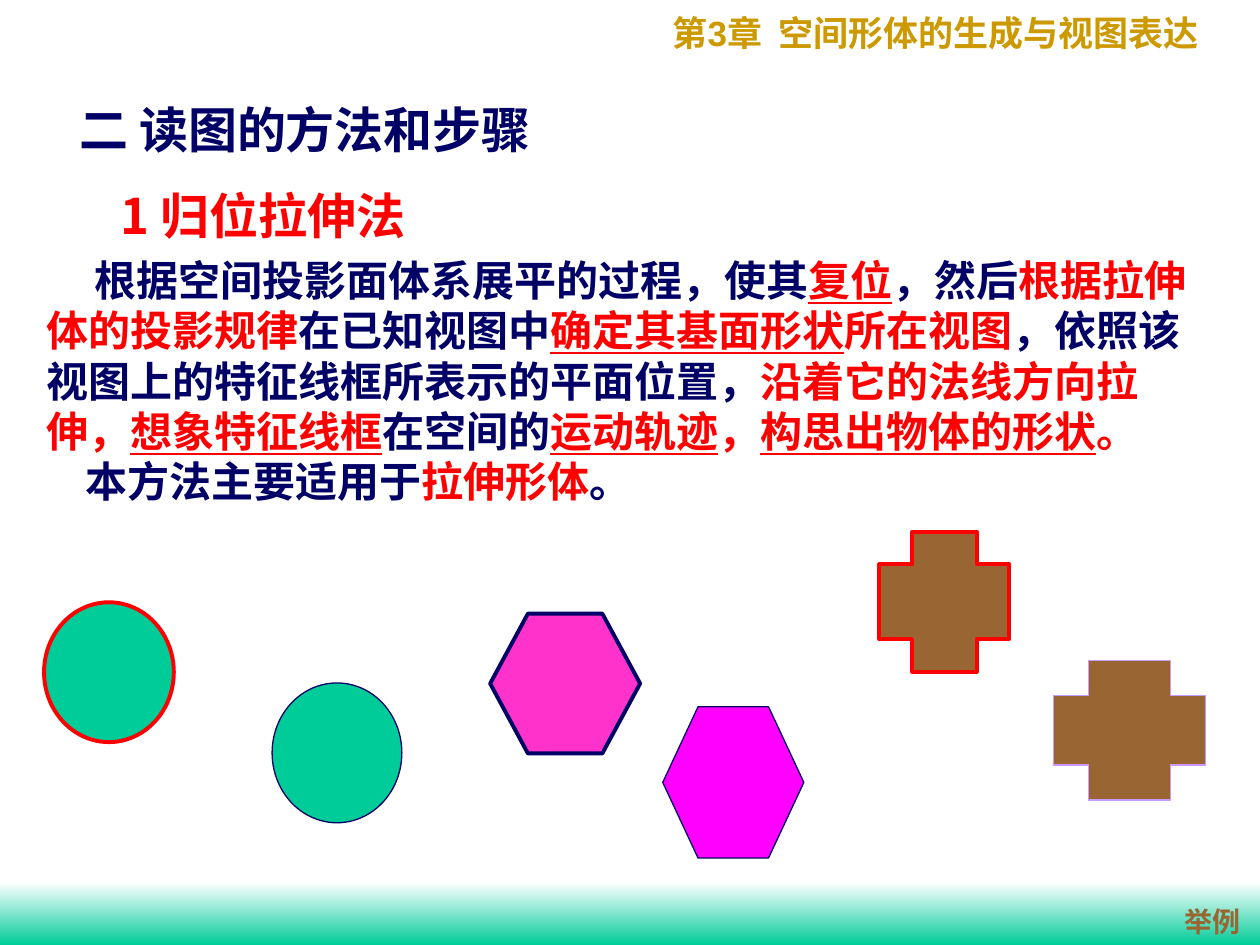
from pptx import Presentation
from pptx.dml.color import RGBColor
from pptx.enum.shapes import MSO_SHAPE
from pptx.enum.text import MSO_ANCHOR, MSO_AUTO_SIZE, PP_ALIGN
from pptx.oxml.ns import qn
from pptx.util import Inches, Pt
from lxml.etree import SubElement

NAVY, RED, GREEN, BROWN, GOLD = "000066", "FF0000", "00CC99", "996633", "CC9900"
SANS, SERIF = "Noto Sans CJK SC", "Times New Roman"

HEADER = [("第", {}), ("3", {"font": "Arial"}), ("章  空间形体的生成与视图表达", {})]

KEY = {"color": RED}
KEY_LINE = {"color": RED, "underline": True}
METHOD = [
    ("根据空间投影面体系展平的过程，使其", {}),
    ("复位", KEY_LINE),
    ("，然后", {}),
    ("根据拉伸体的投影规律", KEY),
    ("在已知视图中", {}),
    ("确定其基面形状", KEY_LINE),
    ("所在视图", KEY),
    ("，依照该视图上的特征线框所表示的平面位置，", {}),
    ("沿着它的法线方向拉伸，", KEY),
    ("想象特征线框", KEY_LINE),
    ("在空间的", {}),
    ("运动轨迹", KEY_LINE),
    ("，", KEY),
    ("构思出物体的形状", KEY_LINE),
    ("。", KEY),
]
SCOPE = [("本方法主要适用于", {}), ("拉伸形体", KEY), ("。", {})]

# preset, box, adjustment, fill, line colour, line width
FIGURES = [
    (MSO_SHAPE.HEXAGON, (5.26, 5.61, 1.12, 1.2), 0.25, "FF00FF", NAVY, 0.75),
    (MSO_SHAPE.HEXAGON, (3.89, 4.87, 1.19, 1.11), 0.27, "FF33CC", NAVY, 2.25),
    (MSO_SHAPE.CROSS, (6.98, 4.22, 1.03, 1.11), 0.25, BROWN, RED, 2.25),
    (MSO_SHAPE.CROSS, (8.36, 5.24, 1.21, 1.11), 0.25, BROWN, "CC99FF", 0.75),
    (MSO_SHAPE.OVAL, (0.35, 4.78, 1.03, 1.11), None, GREEN, RED, 2.25),
    (MSO_SHAPE.OVAL, (2.16, 5.42, 1.03, 1.11), None, GREEN, NAVY, 0.75),
]


def rgb(value):
    return RGBColor.from_string(value)


def add_run(p, text, size, color, font, underline=False):
    r = p.add_run()
    r.text = text
    r.font.size = Pt(size)
    r.font.bold = True
    r.font.underline = underline
    r.font.name = font
    r.font.color.rgb = rgb(color)
    SubElement(r.font._element, qn("a:ea")).set("typeface", SANS)


def add_text(slide, box, paragraphs, size, color, font=SANS, align=PP_ALIGN.LEFT,
             anchor=MSO_ANCHOR.TOP, wrap=True):
    """Each paragraph is (runs, first-line indent in inches); a run is (text, overrides)."""
    tf = slide.shapes.add_textbox(*map(Inches, box)).text_frame
    tf.word_wrap = wrap
    tf.auto_size = MSO_AUTO_SIZE.SHAPE_TO_FIT_TEXT
    tf.vertical_anchor = anchor
    for i, (runs, indent) in enumerate(paragraphs):
        p = tf.add_paragraph() if i else tf.paragraphs[0]
        p.alignment = align
        pPr = p._p.get_or_add_pPr()
        pPr.set("marL", "0")
        pPr.set("indent", str(Inches(indent)))
        pPr.set("hangingPunct", "0")  # keep commas inside the right margin
        for text, changes in runs:
            add_run(p, text, **{"size": size, "color": color, "font": font, **changes})


def add_figure(slide, preset, box, adjustment, fill, line, width):
    s = slide.shapes.add_shape(preset, *map(Inches, box))
    s.shadow.inherit = False
    if adjustment is not None:
        s.adjustments[0] = adjustment
    s.fill.solid()
    s.fill.fore_color.rgb = rgb(fill)
    s.line.color.rgb = rgb(line)
    s.line.width = Pt(width)


def add_footer_band(slide):
    s = slide.shapes.add_shape(MSO_SHAPE.RECTANGLE, 0, Inches(7), Inches(10), Inches(0.5))
    s.shadow.inherit = False
    s.line.fill.background()
    s.fill.gradient()
    s.fill.gradient_angle = 270
    for stop, color, position in zip(s.fill.gradient_stops, ("FFFFFF", GREEN), (0, 1)):
        stop.color.rgb = rgb(color)
        stop.position = position


def main():
    prs = Presentation()
    prs.slide_width, prs.slide_height = Inches(10), Inches(7.5)
    slide = prs.slides.add_slide(prs.slide_layouts[6])

    add_footer_band(slide)
    add_text(slide, (5.24, 0.04, 4.49, 0.77), [(HEADER, 0)], 20, GOLD, font=SERIF)
    add_text(slide, (0.53, 0.74, 5.42, 0.57), [([("二 读图的方法和步骤", {})], 0)],
             28, NAVY, anchor=MSO_ANCHOR.MIDDLE)
    for figure in FIGURES:
        add_figure(slide, *figure)
    add_text(slide, (0.81, 1.42, 2.55, 0.57), [([("1 归位拉伸法", {})], 0)],
             28, RED, align=PP_ALIGN.CENTER, anchor=MSO_ANCHOR.MIDDLE, wrap=False)
    add_text(slide, (0.27, 1.97, 9.41, 2.1), [(METHOD, 0.38), (SCOPE, 0.31)], 24, NAVY)
    add_text(slide, (9.21, 7.13, 0.83, 0.37), [([("举例", {})], 0)],
             16, BROWN, font=SERIF, align=PP_ALIGN.CENTER)

    prs.save("out.pptx")


if __name__ == "__main__":
    main()
